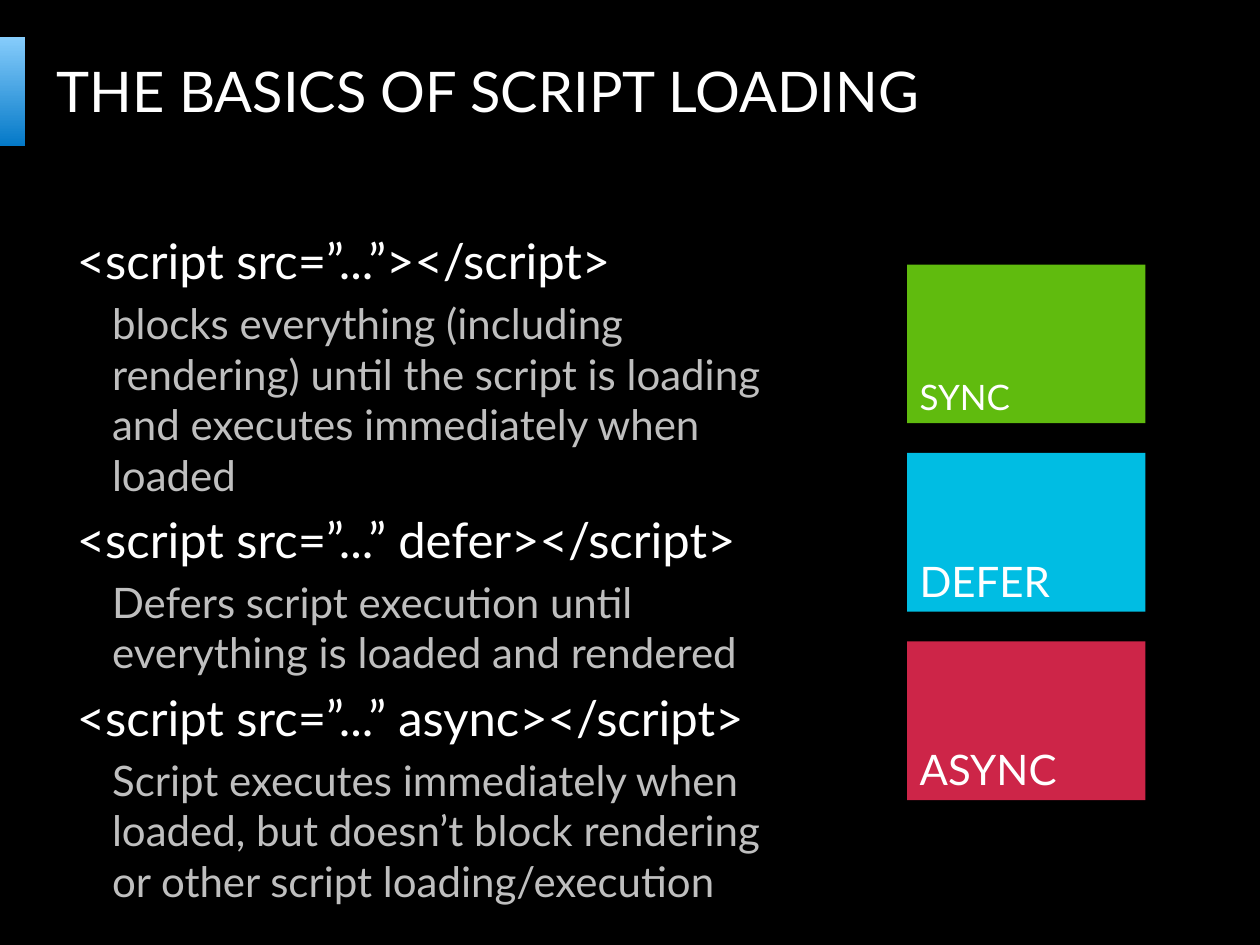
from dataclasses import dataclass

from lxml.etree import SubElement
from pptx import Presentation
from pptx.dml.color import RGBColor
from pptx.enum.shapes import MSO_SHAPE
from pptx.enum.text import MSO_ANCHOR, MSO_AUTO_SIZE, PP_ALIGN
from pptx.oxml.ns import qn
from pptx.util import Inches, Pt


@dataclass(frozen=True)
class Theme:
    font: str = "Lato"
    background: str = "000000"
    text: str = "FFFFFF"
    muted: str = "BFBFBF"
    bar_top: str = "87CDFC"
    bar_bottom: str = "0479C8"
    green: str = "60BB0E"
    cyan: str = "00BDE3"
    red: str = "CD2548"
    title_size: int = 32
    code_size: int = 28
    detail_size: int = 24
    small_size: int = 20


theme = Theme()


def write(para, text, size, color=theme.text, level=0, indent=0, space=0.2):
    """Fill one left-aligned paragraph without a bullet; space is a share of the size."""
    para.level = level
    para.alignment = PP_ALIGN.LEFT
    para.line_spacing = 1.0
    para.space_before = Pt(size * space)
    para.space_after = Pt(0)
    properties = para._p.get_or_add_pPr()
    properties.set("marL", str(Inches(indent)))
    properties.set("indent", "0")
    SubElement(properties, qn("a:buNone"))
    span = para.add_run()
    span.text = text
    span.font.name = theme.font
    span.font.size = Pt(size)
    span.font.color.rgb = RGBColor.from_string(color)


def prepare(box, left, top, width, height, anchor):
    """Place a box and make its text wrap at a fixed size."""
    box.left, box.top = Inches(left), Inches(top)
    box.width, box.height = Inches(width), Inches(height)
    frame = box.text_frame
    frame.word_wrap = True
    frame.auto_size = MSO_AUTO_SIZE.NONE
    frame.vertical_anchor = anchor
    return frame


deck = Presentation()
deck.slide_width, deck.slide_height = Inches(10), Inches(7.5)
page = deck.slides.add_slide(deck.slide_layouts[1])
page.background.fill.solid()
page.background.fill.fore_color.rgb = RGBColor.from_string(theme.background)

# Accent bar beside the title
bar = page.shapes.add_shape(
    MSO_SHAPE.RECTANGLE, Inches(0), Inches(0.29), Inches(0.2), Inches(0.87))
bar.shadow.inherit = False
bar.line.fill.background()
bar.fill.gradient()
bar.fill.gradient_angle = 270
for stop, color, position in zip(
        bar.fill.gradient_stops, (theme.bar_top, theme.bar_bottom), (0, 1)):
    stop.color.rgb = RGBColor.from_string(color)
    stop.position = position

# Title
frame = prepare(page.shapes.title, 0.35, 0.29, 7.09, 0.85, MSO_ANCHOR.MIDDLE)
write(frame.paragraphs[0], "THE BASICS OF SCRIPT LOADING", theme.title_size, space=0)

# Script tags, each with its explanation
entries = [
    ("<script src=”...”></script>",
     "blocks everything (including rendering) until the script is loading "
     "and executes immediately when loaded"),
    ("<script src=”...” defer></script>",
     "Defers script execution until everything is loaded and rendered"),
    ("<script src=”...” async></script>",
     "Script executes immediately when loaded, but doesn’t block rendering "
     "or other script loading/execution"),
]
frame = prepare(page.placeholders[1], 0.51, 1.78, 5.98, 5.2, MSO_ANCHOR.TOP)
for index, (code, detail) in enumerate(entries):
    para = frame.add_paragraph() if index else frame.paragraphs[0]
    write(para, code, theme.code_size)
    write(frame.add_paragraph(), detail, theme.detail_size, theme.muted,
          level=1, indent=0.28)

# Coloured tiles, evenly spaced
tiles = [
    ("SYNC", theme.green, theme.small_size),
    ("DEFER", theme.cyan, theme.detail_size),
    ("ASYNC", theme.red, theme.detail_size),
]
tile_top, tile_step = 2.1, 1.495
for index, (label, color, size) in enumerate(tiles):
    tile = page.shapes.add_shape(MSO_SHAPE.RECTANGLE, 0, 0, 0, 0)
    frame = prepare(tile, 7.2, tile_top + index * tile_step, 1.89, 1.26,
                    MSO_ANCHOR.BOTTOM)
    tile.shadow.inherit = False
    tile.line.fill.background()
    tile.fill.solid()
    tile.fill.fore_color.rgb = RGBColor.from_string(color)
    write(frame.paragraphs[0], label, size)

deck.save("out.pptx")
